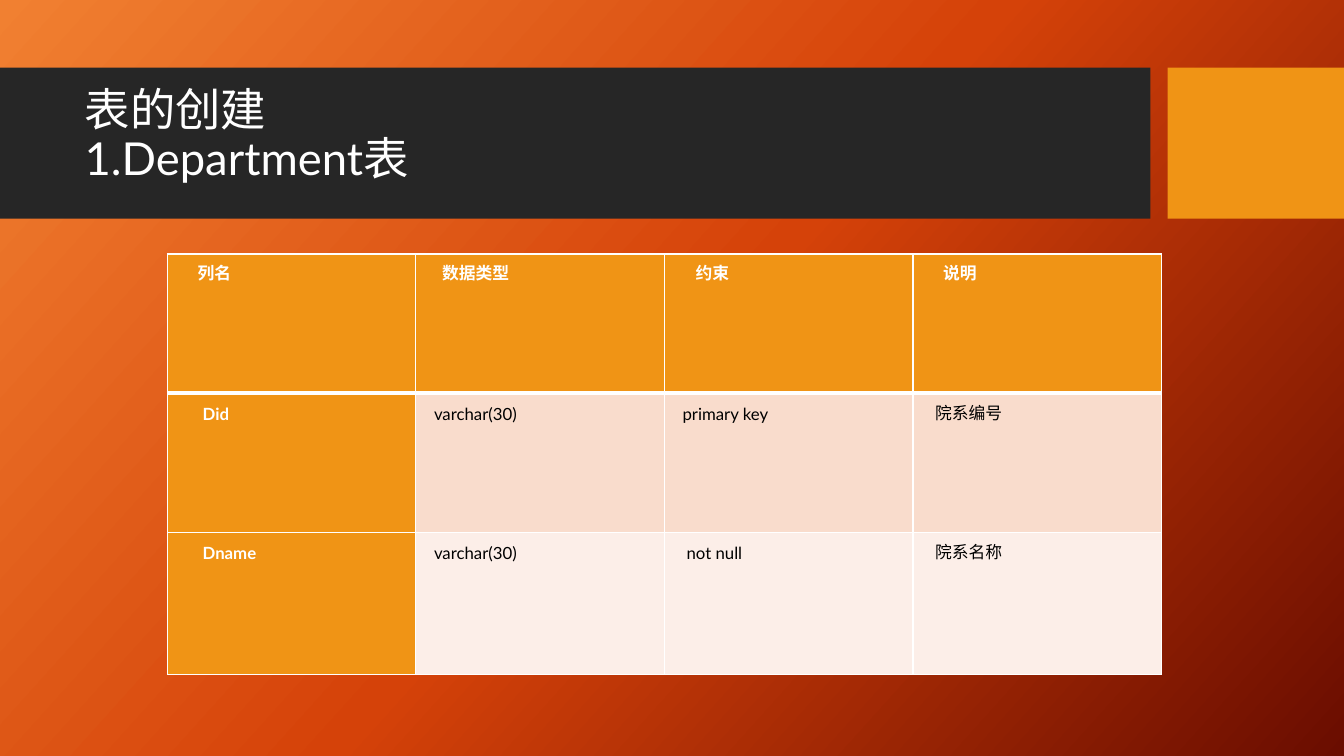
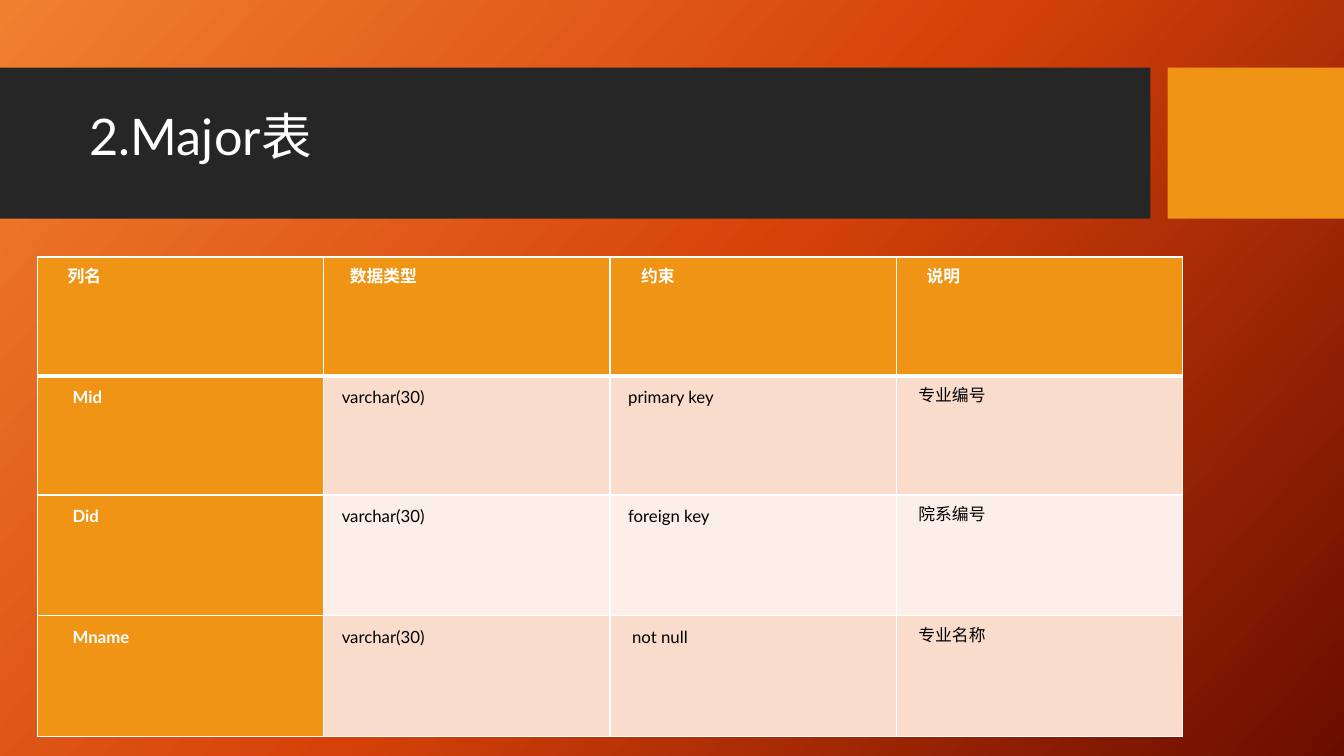
from lxml import etree
from pptx import Presentation
from pptx.dml.color import RGBColor
from pptx.enum.shapes import MSO_SHAPE
from pptx.enum.text import MSO_ANCHOR, MSO_AUTO_SIZE, PP_ALIGN
from pptx.oxml import parse_xml
from pptx.oxml.ns import nsdecls, qn
from pptx.util import Inches, Pt

RECT = MSO_SHAPE.RECTANGLE
MIDDLE = MSO_ANCHOR.MIDDLE
NO_AUTOFIT = MSO_AUTO_SIZE.NONE
LEFT = PP_ALIGN.LEFT

WHITE = RGBColor(0xFF, 0xFF, 0xFF)
BLACK = RGBColor(0x00, 0x00, 0x00)
CHARCOAL = RGBColor(0x26, 0x26, 0x26)
ORANGE = RGBColor(0xF0, 0x94, 0x15)
PEACH = RGBColor(0xF9, 0xDC, 0xCC)
PALE = RGBColor(0xFC, 0xEE, 0xE8)
BACKDROP = [
    (0, RGBColor(0xF1, 0x80, 0x31)),
    (50, RGBColor(0xD5, 0x42, 0x09)),
    (100, RGBColor(0x6A, 0x0D, 0x00)),
]
BACKDROP_ANGLE = 42

FONT = "Lato"
SLIDE_W, SLIDE_H = 13.33, 7.5
BAND_TOP, BAND_H = 0.67, 1.5
BANDS = [(0, 11.41, CHARCOAL), (11.58, 1.75, ORANGE)]
TITLE_W, TITLE_H = 10.51, 1.18

HEADER = ["列名", "数据类型", "约束", "说明"]
HEADER_INDENTS = [0.3, 0.26, 0.31, 0.3]
BODY_INDENTS = [0.35, 0.18, 0.18, 0.22]
EXTRA_INDENTS = {"not null": 0.04}
THIN, THICK = 1, 3

SLIDES = [
    {
        "title": ["表的创建", "1.Department表"],
        "title_at": (0.74, 1.01),
        "title_size": 32.4,
        "table_at": (1.66, 2.52),
        "col_w": 2.465,
        "row_h": [1.38, 1.38, 1.41],
        "rows": [
            ["Did", "varchar(30)", "primary key", "院系编号"],
            ["Dname", "varchar(30)", "not null", "院系名称"],
        ],
    },
    {
        "title": ["2.Major表"],
        "title_at": (0.79, 1.07),
        "title_size": 36,
        "table_at": (0.37, 2.55),
        "col_w": 2.84,
        "row_h": [1.18, 1.18, 1.2, 1.2],
        "rows": [
            ["Mid", "varchar(30)", "primary key", "专业编号"],
            ["Did", "varchar(30)", "foreign key", "院系编号"],
            ["Mname", "varchar(30)", "not null", "专业名称"],
        ],
    },
]


def write(p, text, size, color, bold=False, spacing=None):
    p.alignment = LEFT
    p.line_spacing = spacing
    r = p.add_run()
    r.text = text
    r.font.name = FONT
    r.font.size = Pt(size)
    r.font.bold = bold
    r.font.color.rgb = color


def set_backdrop(layout):
    stops = "".join(
        f'<a:gs pos="{pos * 1000}"><a:srgbClr val="{color}"/></a:gs>'
        for pos, color in BACKDROP
    )
    bg = parse_xml(
        f'<p:bg {nsdecls("p", "a")}><p:bgPr><a:gradFill rotWithShape="1">'
        f'<a:gsLst>{stops}</a:gsLst>'
        f'<a:lin ang="{BACKDROP_ANGLE * 60000}" scaled="0"/></a:gradFill>'
        "<a:effectLst/></p:bgPr></p:bg>"
    )
    layout._element.cSld.insert(0, bg)


def add_bands(layout, slide):
    tree = layout.shapes._spTree
    for i, (left, width, color) in enumerate(BANDS):
        sp = slide.shapes.add_shape(
            RECT, Inches(left), Inches(BAND_TOP), Inches(width), Inches(BAND_H)
        )
        sp.shadow.inherit = False
        sp.fill.solid()
        sp.fill.fore_color.rgb = color
        sp.line.fill.background()
        sp._element.nvSpPr.cNvPr.set("id", str(20 + i))
        tree.insert(2 + i, sp._element)


def set_title(slide, lines, at, size):
    title = slide.shapes.title
    title.left, title.top = map(Inches, at)
    title.width, title.height = Inches(TITLE_W), Inches(TITLE_H)
    tf = title.text_frame
    tf.word_wrap = True
    tf.auto_size = NO_AUTOFIT
    tf.vertical_anchor = MIDDLE
    tf.margin_bottom = Inches(0.05) + Pt(size * 1.1)
    for i, line in enumerate(lines):
        p = tf.add_paragraph() if i else tf.paragraphs[0]
        write(p, line, size, WHITE, spacing=0.9)


def set_borders(cell, top, bottom):
    tc_pr = cell._tc.get_or_add_tcPr()
    for side, width in (("L", THIN), ("R", THIN), ("T", top), ("B", bottom)):
        ln = etree.SubElement(tc_pr, qn(f"a:ln{side}"), w=str(Pt(width)))
        fill = etree.SubElement(ln, qn("a:solidFill"))
        etree.SubElement(fill, qn("a:srgbClr"), val=str(WHITE))


def fill_cell(cell, text, row, col):
    is_header = row == 0
    is_key = is_header or col == 0
    indents = HEADER_INDENTS if is_header else BODY_INDENTS
    set_borders(
        cell,
        top=THICK if row == 1 else THIN,
        bottom=THICK if is_header else THIN,
    )
    cell.fill.solid()
    cell.fill.fore_color.rgb = ORANGE if is_key else PEACH if row % 2 else PALE
    cell.margin_left = Inches(indents[col] + EXTRA_INDENTS.get(text, 0))
    cell.margin_right = Inches(0.07)
    cell.margin_top = cell.margin_bottom = 0
    write(
        cell.text_frame.paragraphs[0],
        text,
        12,
        WHITE if is_key else BLACK,
        bold=is_key,
        spacing=Pt(22),
    )


def add_grid(slide, rows, at, col_w, row_h):
    left, top = map(Inches, at)
    n_cols = len(HEADER)
    table = slide.shapes.add_table(
        len(row_h), n_cols, left, top, Inches(col_w * n_cols), Inches(sum(row_h))
    ).table
    for column in table.columns:
        column.width = Inches(col_w)
    for row, (texts, height) in enumerate(zip([HEADER, *rows], row_h)):
        table.rows[row].height = Inches(height)
        for col, text in enumerate(texts):
            fill_cell(table.cell(row, col), text, row, col)


def main():
    prs = Presentation()
    prs.slide_width, prs.slide_height = Inches(SLIDE_W), Inches(SLIDE_H)
    layout = prs.slide_layouts.get_by_name("Title Only")
    slides = [prs.slides.add_slide(layout) for _ in SLIDES]
    set_backdrop(layout)
    add_bands(layout, slides[0])
    for slide, data in zip(slides, SLIDES):
        set_title(slide, data["title"], data["title_at"], data["title_size"])
        add_grid(
            slide, data["rows"], data["table_at"], data["col_w"], data["row_h"]
        )
    prs.save("out.pptx")


if __name__ == "__main__":
    main()
